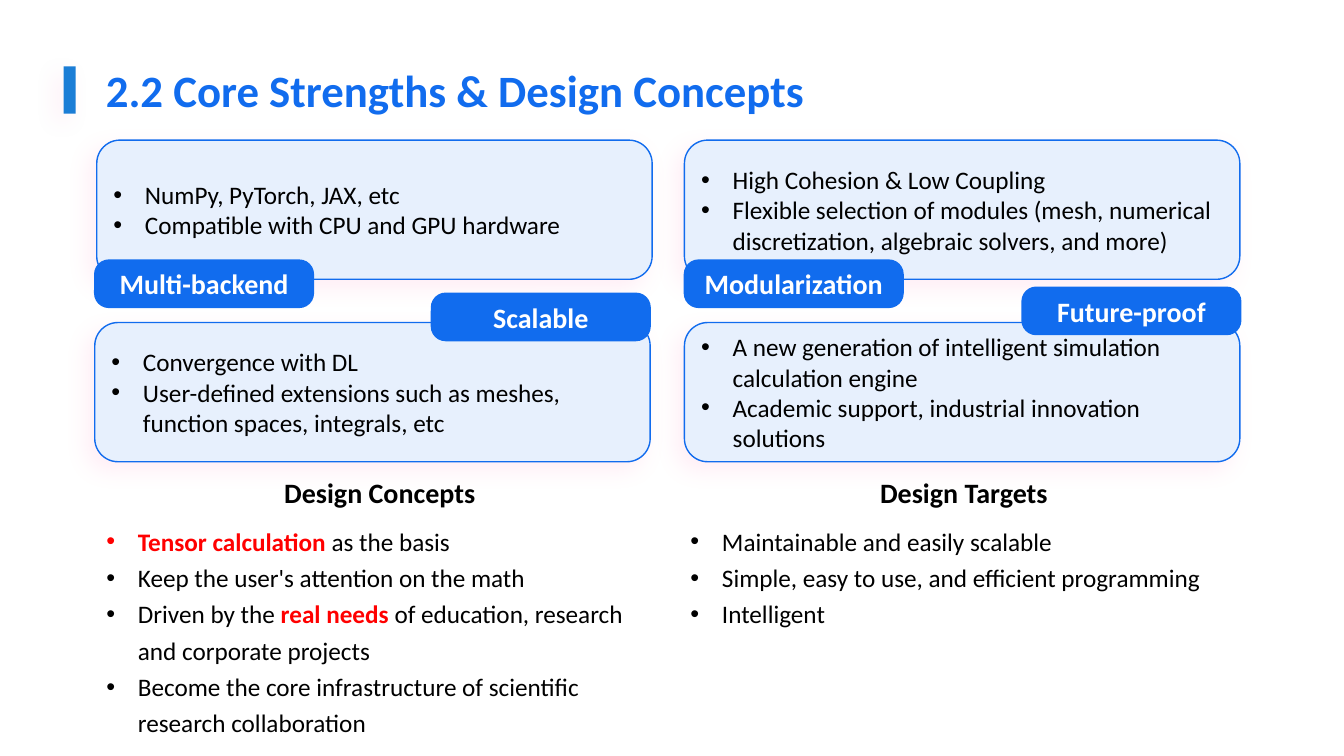
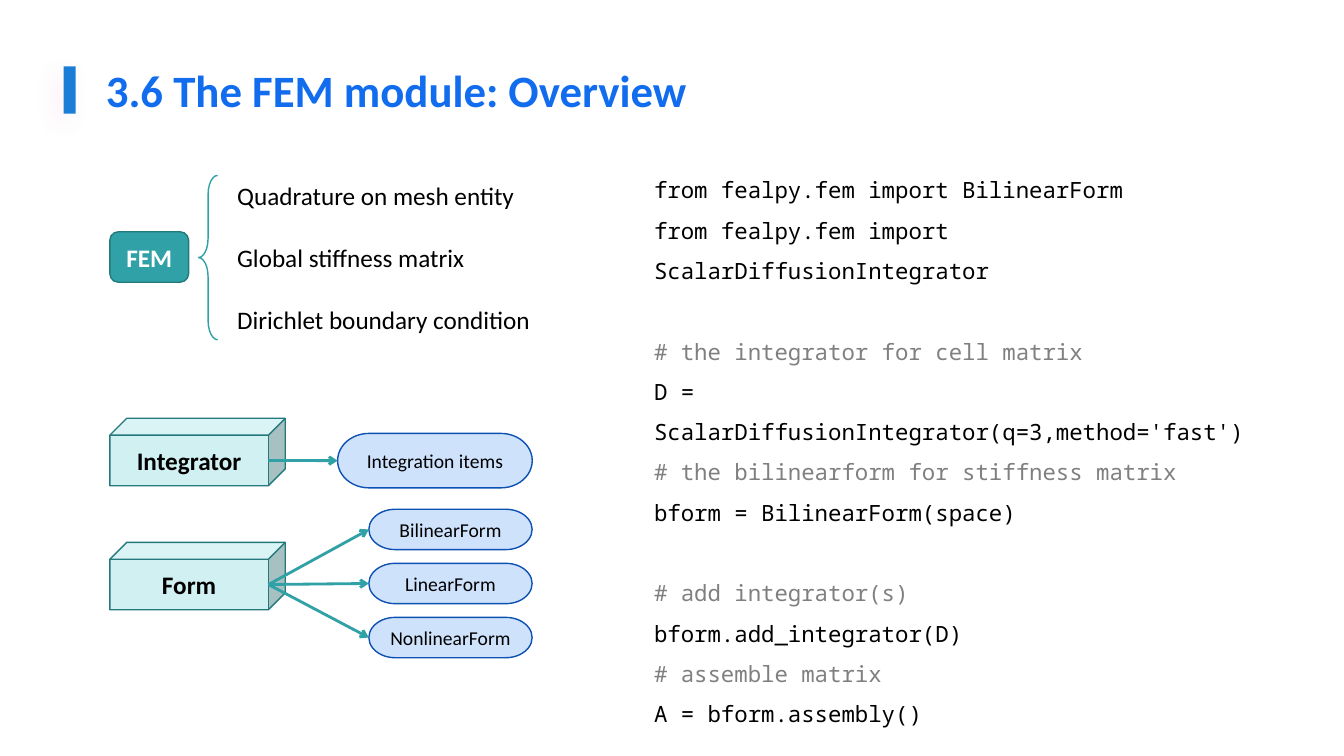
from dataclasses import dataclass

from lxml.etree import SubElement
from pptx import Presentation
from pptx.dml.color import RGBColor
from pptx.enum.shapes import MSO_CONNECTOR, MSO_SHAPE
from pptx.enum.text import MSO_ANCHOR, MSO_AUTO_SIZE, PP_ALIGN
from pptx.oxml.ns import qn
from pptx.util import Pt


@dataclass(frozen=True)
class Theme:
    font: str = "Calibri"
    code_font: str = "Noto Sans Mono"
    primary: str = "116CEE"
    bar: str = "1B7ED6"
    card: str = "E7F0FD"
    pill: str = "CFE2FC"
    pill_edge: str = "0D51B2"
    teal: str = "30A1A6"
    teal_edge: str = "24797C"
    cube: str = "D1F0F2"
    glow: str = "FF5DA9"
    text: str = "000000"
    inverse: str = "FFFFFF"
    accent: str = "FF0000"
    remark: str = "808080"
    title_size: int = 32
    heading_size: int = 20
    body_size: int = 18
    code_size: int = 16
    pill_size: int = 14


THEME = Theme()
COMPARISON, TITLE_ONLY = 4, 5
INDENT = 22.5
CODE_PITCH = 28.8
CUBE_DEPTH = 0.25

CARDS = [
    (69.1, 100.1, ["NumPy, PyTorch, JAX, etc", "Compatible with CPU and GPU hardware"]),
    (488.9, 100.1, ["High Cohesion & Low Coupling",
                    "Flexible selection of modules (mesh, numerical discretization, "
                    "algebraic solvers, and more)"]),
    (67.7, 230.4, ["Convergence with DL",
                   "User-defined extensions such as meshes, function spaces, integrals, etc"]),
    (488.9, 230.4, ["A new generation of intelligent simulation calculation engine",
                    "Academic support, industrial innovation solutions"]),
]
TAGS = [
    (67.7, 185.8, "Multi-backend"),
    (488.9, 185.8, "Modularization"),
    (308.2, 209.5, "Scalable"),
    (730.1, 205.2, "Future-proof"),
]
DESIGN_COLUMNS = [
    (68.8, "Design Concepts", [
        "*Tensor calculation* as the basis",
        "Keep the user's attention on the math",
        "Driven by the *real needs* of education, research and corporate projects",
        "Become the core infrastructure of scientific research collaboration"]),
    (486, "Design Targets", [
        "Maintainable and easily scalable",
        "Simple, easy to use, and efficient programming",
        "Intelligent"]),
]
FEM_PARTS = ["Quadrature on mesh entity", "Global stiffness matrix", "Dirichlet boundary condition"]
FORMS = ["BilinearForm", "LinearForm", "NonlinearForm"]
CODE_BLOCKS = [
    ["from fealpy.fem import BilinearForm",
     "from fealpy.fem import ScalarDiffusionIntegrator"],
    ["# the integrator for cell matrix",
     "D = ScalarDiffusionIntegrator(q=3,method='fast')",
     "# the bilinearform for stiffness matrix",
     "bform = BilinearForm(space)"],
    ["# add integrator(s)",
     "bform.add_integrator(D)",
     "# assemble matrix",
     "A = bform.assembly()"],
]


def rgb(color):
    return RGBColor.from_string(color)


def points(*lengths):
    return [Pt(length) for length in lengths]


def place(shape, box):
    shape.left, shape.top, shape.width, shape.height = points(*box)


def set_font(font, size, color, bold=False, name=THEME.font):
    font.name, font.size, font.bold = name, Pt(size), bold
    font.color.rgb = rgb(color)


def add_bullet(paragraph):
    properties = paragraph._p.get_or_add_pPr()
    properties.set("marL", str(Pt(INDENT)))
    properties.set("indent", str(-Pt(INDENT)))
    SubElement(properties, qn("a:buFont"), typeface="Arial")
    SubElement(properties, qn("a:buChar"), char="•")


def write(frame, lines, size, color=THEME.text, bold=False, align=PP_ALIGN.LEFT,
          anchor=MSO_ANCHOR.TOP, spacing=1.0, bullets=False):
    frame.word_wrap = True
    frame.auto_size = MSO_AUTO_SIZE.NONE
    frame.vertical_anchor = anchor
    for number, line in enumerate(lines):
        paragraph = frame.add_paragraph() if number else frame.paragraphs[0]
        paragraph.alignment = align
        paragraph.line_spacing = spacing
        paragraph.space_before = Pt(0)
        if bullets:
            add_bullet(paragraph)
        set_font(paragraph.font, size, color, bold)
        for position, words in enumerate(line.split("*")):
            if words:
                run = paragraph.add_run()
                run.text = words
                if position % 2:
                    run.font.bold = True
                    run.font.color.rgb = rgb(THEME.accent)


def add_figure(slide, preset, box, fill=None, edge=None):
    figure = slide.shapes.add_shape(preset, *points(*box))
    figure.shadow.inherit = False
    if fill:
        figure.fill.solid()
        figure.fill.fore_color.rgb = rgb(fill)
    else:
        figure.fill.background()
    if edge:
        figure.line.color.rgb = rgb(edge)
        figure.line.width = Pt(1)
    else:
        figure.line.fill.background()
    return figure


def add_labelled(slide, preset, box, fill, edge, label, size, color=THEME.text, bold=True):
    figure = add_figure(slide, preset, box, fill, edge)
    write(figure.text_frame, [label], size, color, bold, PP_ALIGN.CENTER, MSO_ANCHOR.MIDDLE)
    return figure


def add_glow(figure):
    effects = figure.element.spPr.find(qn("a:effectLst"))
    shadow = SubElement(effects, qn("a:outerShdw"), blurRad=str(Pt(16)), dist=str(Pt(8)),
                        dir=str(135 * 60000), algn="tr", rotWithShape="0")
    color = SubElement(shadow, qn("a:srgbClr"), val=THEME.glow)
    SubElement(color, qn("a:alpha"), val="10000")


def add_card(slide, left, top, lines):
    card = add_figure(slide, MSO_SHAPE.ROUNDED_RECTANGLE, (left, top, 396.7, 99.4),
                      THEME.card, THEME.primary)
    add_glow(card)
    write(card.text_frame, lines, THEME.body_size, anchor=MSO_ANCHOR.MIDDLE, bullets=True)


def add_tag(slide, left, top, label):
    tag = add_labelled(slide, MSO_SHAPE.ROUNDED_RECTANGLE, (left, top, 156.2, 33.8),
                       THEME.primary, THEME.primary, label, THEME.heading_size, THEME.inverse)
    tag.adjustments[0] = 0.3


def add_pill(slide, box, label):
    return add_labelled(slide, MSO_SHAPE.FLOWCHART_TERMINATOR, box, THEME.pill,
                        THEME.pill_edge, label, THEME.pill_size, bold=False)


def add_cube(slide, top, label):
    return add_labelled(slide, MSO_SHAPE.CUBE, (78.5, top, 125.3, 48.2), THEME.cube,
                        THEME.teal_edge, label, THEME.body_size)


def add_arrow(slide, cube, pill):
    depth = int(cube.height * CUBE_DEPTH)
    start_x = cube.left + cube.width - depth
    start_y = cube.top + (cube.height + depth) // 2
    arrow = slide.shapes.add_connector(MSO_CONNECTOR.STRAIGHT, start_x, start_y,
                                       pill.left, pill.top)
    arrow.end_connect(pill, 1)
    arrow.line.color.rgb = rgb(THEME.teal)
    arrow.line.width = Pt(2)
    properties = arrow.element.spPr
    SubElement(properties.find(qn("a:ln")), qn("a:tailEnd"), type="arrow")
    SubElement(properties, qn("a:effectLst"))


def add_code(slide, box, blocks):
    listing = slide.shapes.add_textbox(*points(*box)).text_frame
    write(listing, [line for block in blocks for line in block], THEME.code_size, spacing=1.5)
    openings = {block[0] for block in blocks[1:]}
    for paragraph in listing.paragraphs:
        color = THEME.remark if paragraph.text.startswith("#") else THEME.text
        set_font(paragraph.font, THEME.code_size, color, name=THEME.code_font)
        if paragraph.text in openings:
            paragraph.space_before = Pt(CODE_PITCH)


def add_slide(deck, layout, heading):
    slide = deck.slides.add_slide(deck.slide_layouts[layout])
    title = slide.shapes.title
    place(title, (68.4, 41, 836.6, 46.1))
    frame = title.text_frame
    frame.margin_top = frame.margin_bottom = 0
    write(frame, [heading], THEME.title_size, THEME.primary, True, anchor=MSO_ANCHOR.MIDDLE)
    return slide


def add_master_bar(deck, slide):
    bar = add_figure(slide, MSO_SHAPE.RECTANGLE, (45.4, 47.5, 8.6, 33.8), THEME.bar)
    add_glow(bar)
    deck.slide_master.shapes.element.append(bar.element)


def build_strengths(deck):
    slide = add_slide(deck, COMPARISON, "2.2 Core Strengths & Design Concepts")
    add_master_bar(deck, slide)
    for card in CARDS:
        add_card(slide, *card)
    for tag in TAGS:
        add_tag(slide, *tag)
    for column, (left, heading, points_made) in enumerate(DESIGN_COLUMNS):
        caption = slide.placeholders[1 + 2 * column]
        place(caption, (left, 336.2, 405, 31.7))
        write(caption.text_frame, [heading], THEME.heading_size, bold=True,
              align=PP_ALIGN.CENTER)
        body = slide.placeholders[2 + 2 * column]
        place(body, (left, 367.9, 405, 164.2))
        write(body.text_frame, points_made, THEME.body_size, spacing=1.2, bullets=True)


def build_fem(deck):
    slide = add_slide(deck, TITLE_ONLY, "3.6 The FEM module: Overview")
    add_labelled(slide, MSO_SHAPE.ROUNDED_RECTANGLE, (78.5, 165.6, 56.2, 36), THEME.teal,
                 THEME.teal_edge, "FEM", THEME.body_size, THEME.inverse)
    brace = add_figure(slide, MSO_SHAPE.LEFT_BRACE, (141.8, 125.3, 13.7, 117.4),
                       edge=THEME.teal)
    brace.adjustments[0] = 1
    for row, part in enumerate(FEM_PARTS):
        label = slide.shapes.add_textbox(*points(162.3, 125.3 + 44.3 * row, 244, 28.8))
        write(label.text_frame, [part], THEME.body_size)

    integrator = add_cube(slide, 298.8, "Integrator")
    form = add_cube(slide, 387.4, "Form")
    items = add_pill(slide, (241.2, 309.6, 139, 38.9), "Integration items")
    add_arrow(slide, integrator, items)
    for row, name in enumerate(FORMS):
        add_arrow(slide, form, add_pill(slide, (263.5, 363.8 + 38.6 * row, 116.6, 28.8), name))
    add_code(slide, (460.1, 113, 465.8, 356.4), CODE_BLOCKS)


def main():
    deck = Presentation()
    deck.slide_width, deck.slide_height = points(960, 540)
    build_strengths(deck)
    build_fem(deck)
    deck.save("out.pptx")


if __name__ == "__main__":
    main()
